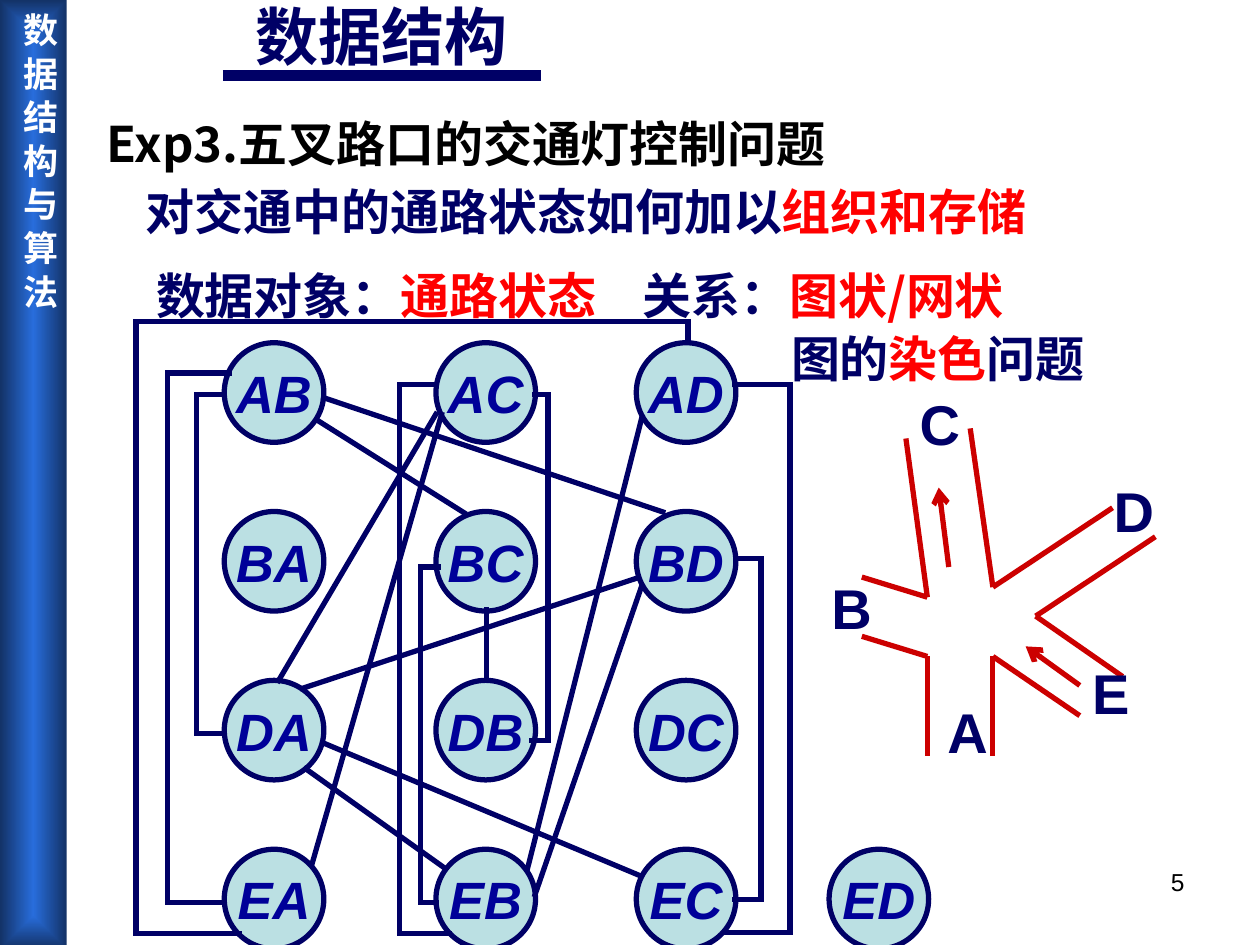
"""Build a slide on five-way junction traffic control as a graph colouring problem."""
import itertools

import lxml.etree
import pptx
import pptx.dml.color
import pptx.enum.shapes
import pptx.enum.text
import pptx.oxml
import pptx.oxml.ns
import pptx.util

Inches = pptx.util.Inches
ALIGN = pptx.enum.text.PP_ALIGN
ANCHOR = pptx.enum.text.MSO_ANCHOR
SHAPE = pptx.enum.shapes.MSO_SHAPE

THEME = {
    "colors": {"navy": "000066", "label": "000099", "red": "FF0000", "road": "CC0000",
               "node": "BBE0E3", "white": "FFFFFF", "black": "000000",
               "glow": "286DDC", "edge": "133266"},
    "sizes": {"title": 36, "body": 28, "road": 32, "node": 30, "side": 20, "number": 14},
    "fonts": {"latin": "Arial", "chinese": "Noto Sans CJK SC"},
    "lines": {"thin": 3, "rule": 6},
}

SIDEBAR = "数 据 结 构 与 算 法"
TITLE = "数据结构"
TITLE_BOX = (1.93, -0.07, 2.6, 0.7)
TITLE_RULE = ((1.77, 0.6), (4.29, 0.6))
PAGE_NUMBER = "5"

BODY = [
    ((0.75, 0.78, 6.69, 0.85), [("Exp3.五叉路口的交通灯控制问题", "black")],
     {"line_spacing": 1.15, "space_before": pptx.util.Pt(7)}),
    ((1.06, 1.39, 7.56, 0.57),
     [("对交通中的通路状态如何加以", "navy"), ("组织和存储", "red")], {}),
    ((1.14, 1.94, 3.94, 0.69), [("数据对象：", "navy"), ("通路状态", "red")],
     {"line_spacing": 1.25}),
    ((5, 1.94, 3.31, 1.27), [("关系：", "navy"), ("图状/网状", "red")],
     {"line_spacing": 1.25}),
    ((6.18, 2.44, 3.31, 0.69),
     [("图的", "navy"), ("染色", "red"), ("问题", "navy")], {"line_spacing": 1.25}),
]

ROAD_EDGES = [
    ((6.84, 4.58), (7.36, 4.74)), ((7.36, 4.74), (7.19, 3.48)),
    ((7.36, 5.21), (7.36, 6)), ((6.84, 5.05), (7.36, 5.21)),
    ((7.88, 4.66), (7.7, 3.4)), ((7.88, 5.21), (7.88, 6)),
    ((7.88, 4.66), (8.83, 4.03)), ((7.88, 5.21), (8.57, 5.68)),
    ((8.22, 4.89), (9.17, 4.26)), ((8.22, 4.89), (8.91, 5.37)),
]
TRAFFIC_ARROWS = [((7.53, 4.5), (7.45, 3.87)), ((8.57, 5.44), (8.14, 5.13))]
ROAD_LABELS = {"A": (7.42, 5.49), "B": (6.5, 4.5), "C": (7.2, 3.04),
               "D": (8.74, 3.73), "E": (8.57, 5.18)}

NODE_ROWS = [["AB", "AC", "AD"], ["BA", "BC", "BD"], ["DA", "DB", "DC"],
             ["EA", "EB", "EC", "ED"]]
NODE_COLUMNS = [1.78, 3.46, 5.05, 6.58]
NODE_TOP, NODE_PITCH, NODE_SIZE = 2.72, 1.34, 0.79

BRACKETS = [
    (1.56, (1.78, 3.13), (1.78, 5.82)), (1.33, (1.82, 2.96), (1.77, 7.16)),
    (3.17, (3.46, 3.05), (3.57, 7.41)), (3.34, (3.48, 4.5), (3.46, 7.16)),
    (4.35, (4.24, 3.13), (4.22, 5.88)), (6.04, (5.85, 4.43), (5.83, 7.14)),
    (6.27, (5.83, 3.05), (5.75, 7.4)),
]
OUTER_ROUTE = [(5.46, 2.71), (5.46, 2.55), (1.08, 2.55), (1.08, 7.41), (1.9, 7.41)]
DIRECT_EDGES = [
    ((2.51, 3.33), (3.7, 4.08)), ((2.55, 3.15), (5.28, 4.07)),
    ((5.1, 3.29), (4.18, 6.92)), ((3.86, 4.82), (3.86, 5.41)),
    ((5.08, 4.58), (2.38, 5.47)), ((5.1, 4.63), (4.24, 7.12)),
    ((2.2, 5.42), (3.47, 3.27)), ((3.51, 3.27), (2.47, 6.88)),
    ((2.41, 6.09), (3.53, 6.89)), ((2.55, 5.89), (5.08, 6.95)),
]


def color(name):
    return pptx.dml.color.RGBColor.from_string(THEME["colors"][name])


def apply_format(target, values):
    for name, value in values.items():
        setattr(target, name, value)


def write_text(shape, runs, size, font="latin", frame_format=None, paragraph_format=None,
               **font_format):
    frame = shape.text_frame
    apply_format(frame, {
        "word_wrap": True, "vertical_anchor": ANCHOR.TOP,
        "margin_left": Inches(0.1), "margin_right": Inches(0.1),
        "margin_top": Inches(0.05), "margin_bottom": Inches(0.05), **(frame_format or {})})
    paragraph = frame.paragraphs[0]
    apply_format(paragraph, {"alignment": ALIGN.LEFT, **(paragraph_format or {})})
    for text, color_name in runs:
        run = paragraph.add_run()
        run.text = text
        apply_format(run.font, {"name": THEME["fonts"][font], "bold": True,
                                "size": pptx.util.Pt(THEME["sizes"][size]), **font_format})
        run.font.color.rgb = color(color_name)
        east_asian = lxml.etree.Element(
            pptx.oxml.ns.qn("a:ea"), typeface=THEME["fonts"]["chinese"])
        run.font._element.find(pptx.oxml.ns.qn("a:latin")).addnext(east_asian)


def add_text(slide, box, runs, size, **options):
    shape = slide.shapes.add_textbox(*map(Inches, box))
    write_text(shape, runs, size, **options)


def add_line(slide, start, end, color_name="navy", width="thin", cap="flat", arrow=False):
    connector = slide.shapes.add_connector(
        pptx.enum.shapes.MSO_CONNECTOR.STRAIGHT, *map(Inches, (*start, *end)))
    connector.line.color.rgb = color(color_name)
    connector.line.width = pptx.util.Pt(THEME["lines"][width])
    line = connector.line._get_or_add_ln()
    line.set("cap", cap)
    if arrow:
        lxml.etree.SubElement(line, pptx.oxml.ns.qn("a:tailEnd"), type="arrow")
    lxml.etree.SubElement(connector._element.spPr, pptx.oxml.ns.qn("a:effectLst"))


def add_route(slide, points):
    for start, end in itertools.pairwise(points):
        add_line(slide, start, end, cap="sq")


def add_sidebar(slide):
    shape = slide.shapes.add_shape(SHAPE.RECTANGLE, 0, 0, Inches(0.53), Inches(7.53))
    shape.shadow.inherit = False
    shape.line.fill.background()
    shape.fill.gradient()
    for stop, name in zip(shape.fill.gradient_stops, ("glow", "edge")):
        stop.color.rgb = color(name)
        stop.position = 0 if name == "glow" else 1
    gradient = shape._element.spPr.find(pptx.oxml.ns.qn("a:gradFill"))
    gradient.replace(gradient.find(pptx.oxml.ns.qn("a:lin")), pptx.oxml.parse_xml(
        f'<a:path {pptx.oxml.ns.nsdecls("a")} path="rect">'
        '<a:fillToRect l="50000" t="50000" r="50000" b="50000"/></a:path>'))
    write_text(shape, [(SIDEBAR, "white")], "side", font="chinese",
               frame_format={"margin_left": Inches(0.05), "margin_right": Inches(0.05),
                             "margin_top": Inches(0.1), "margin_bottom": Inches(0.1)},
               paragraph_format={"alignment": ALIGN.CENTER})
    shape.text_frame._txBody.bodyPr.set("vert", "eaVert")


def add_node(slide, label, left, top):
    shape = slide.shapes.add_shape(
        SHAPE.OVAL, *map(Inches, (left, top, NODE_SIZE, NODE_SIZE)))
    shape.shadow.inherit = False
    shape.fill.solid()
    shape.fill.fore_color.rgb = color("node")
    shape.line.color.rgb = color("navy")
    shape.line.width = pptx.util.Pt(THEME["lines"]["thin"])
    write_text(shape, [(label, "label")], "node", italic=True,
               frame_format={"word_wrap": False, "vertical_anchor": ANCHOR.MIDDLE},
               paragraph_format={"alignment": ALIGN.CENTER})


def main():
    presentation = pptx.Presentation()
    apply_format(presentation, {"slide_width": Inches(10), "slide_height": Inches(7.5)})
    slide = presentation.slides.add_slide(presentation.slide_layouts[5])
    add_sidebar(slide)
    title = slide.shapes.title
    apply_format(title, dict(zip(("left", "top", "width", "height"), map(Inches, TITLE_BOX))))
    write_text(title, [(TITLE, "navy")], "title",
               frame_format={"auto_size": pptx.enum.text.MSO_AUTO_SIZE.NONE})
    add_line(slide, *TITLE_RULE, width="rule")
    add_text(slide, (7.17, 6.83, 2.33, 0.52), [(PAGE_NUMBER, "black")], "number",
             bold=False, paragraph_format={"alignment": ALIGN.RIGHT})
    for start, end in ROAD_EDGES:
        add_line(slide, start, end, "road")
    for start, end in TRAFFIC_ARROWS:
        add_line(slide, start, end, "road", arrow=True)
    for label, (left, top) in ROAD_LABELS.items():
        add_text(slide, (left, top, 0.52, 0.64), [(label, "navy")], "road")
    for row, labels in enumerate(NODE_ROWS):
        for label, left in zip(labels, NODE_COLUMNS):
            add_node(slide, label, left, NODE_TOP + row * NODE_PITCH)
    for across, start, end in BRACKETS:
        add_route(slide, [start, (across, start[1]), (across, end[1]), end])
    add_route(slide, OUTER_ROUTE)
    for start, end in DIRECT_EDGES:
        add_line(slide, start, end)
    for box, runs, spacing in BODY:
        add_text(slide, box, runs, "body", font="chinese", paragraph_format=spacing)
    presentation.save("out.pptx")


if __name__ == "__main__":
    main()
